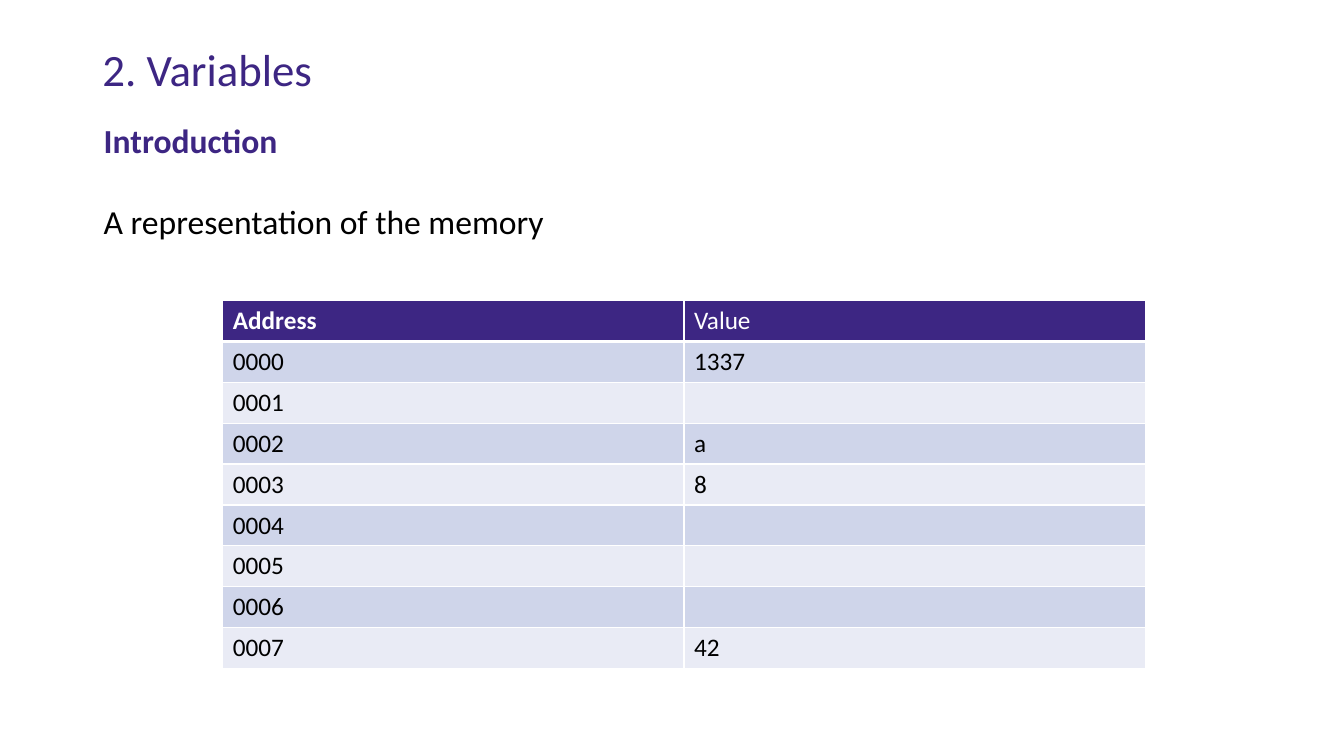
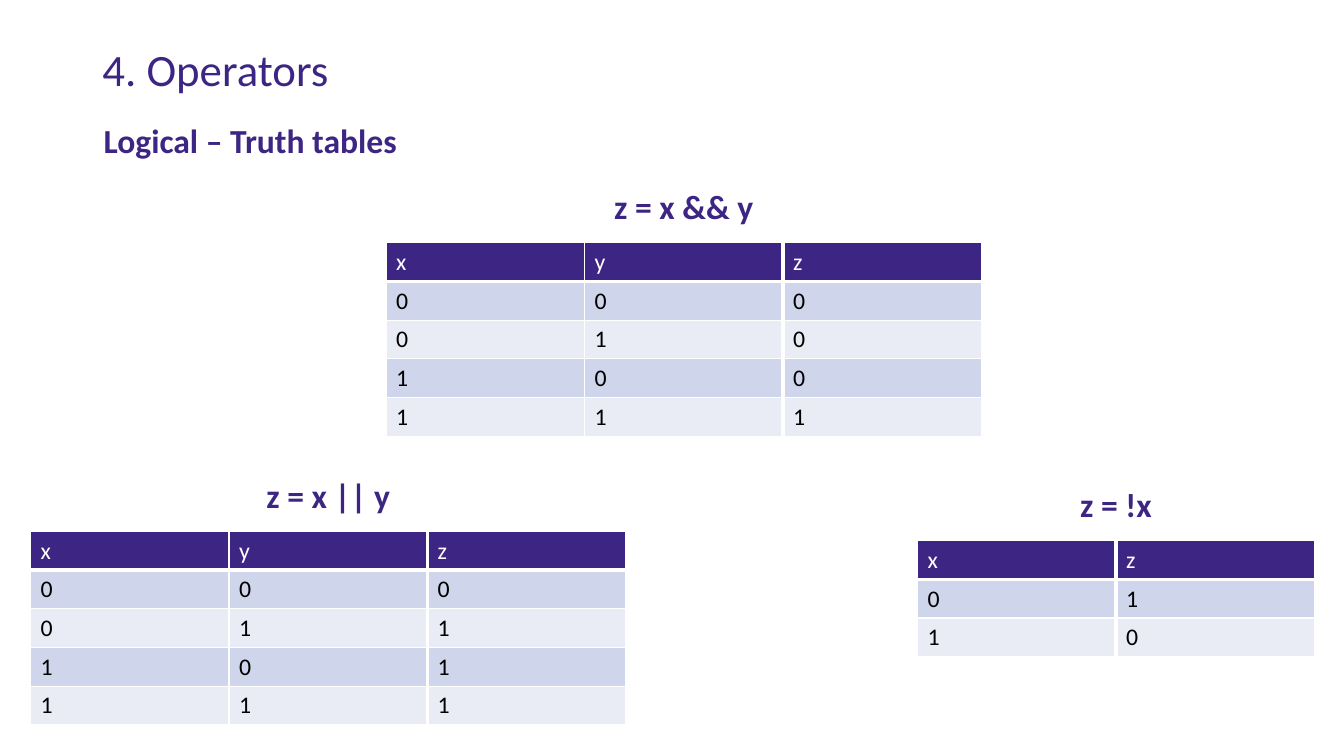
from pptx import Presentation
from pptx.dml.color import RGBColor
from pptx.enum.text import MSO_ANCHOR, PP_ALIGN
from pptx.oxml.ns import qn
from pptx.util import Pt
from lxml.etree import SubElement

FONT = "Calibri"
PURPLE, WHITE, BLACK = "3D2683", "FFFFFF", "000000"
BANDS = ["CFD5EA", "E9EBF5"]
THIN, THICK = 1, 3
LABEL_WIDTH, LABEL_HEIGHT, LABEL_GAP = 116, 36, 8
TRUTH_COLUMN, TRUTH_ROW = 141.8, 27.6


def rgb(color):
    return RGBColor.from_string(color)


def format_runs(paragraph, size, color, bold=False):
    for run in paragraph.runs:
        run.font.name = FONT
        run.font.size = Pt(size)
        run.font.bold = bold
        run.font.color.rgb = rgb(color)


def add_border(cell, side, width):
    line = SubElement(cell._tc.get_or_add_tcPr(), qn(f"a:ln{side}"), w=str(Pt(width)))
    fill = SubElement(line, qn("a:solidFill"))
    SubElement(fill, qn("a:srgbClr"), val=WHITE)


# Title, bold subtitle and optional lead sentence
def add_topic_slide(deck, title, subtitle, lead=None):
    slide = deck.slides.add_slide(deck.slide_layouts[5])
    heading = slide.shapes.title
    heading.left, heading.top, heading.width, heading.height = (
        Pt(66), Pt(28.8), Pt(828), Pt(45.4))
    heading.text_frame.text = title
    heading.text_frame.vertical_anchor = MSO_ANCHOR.MIDDLE
    heading_line = heading.text_frame.paragraphs[0]
    heading_line.alignment = PP_ALIGN.LEFT
    heading_line.line_spacing = 0.9
    format_runs(heading_line, 32, PURPLE)

    intro = slide.shapes.add_textbox(
        Pt(67), Pt(82), Pt(842), Pt(124 if lead else 65.5)).text_frame
    intro.word_wrap = True
    intro.text = subtitle
    format_runs(intro.paragraphs[0], 24, PURPLE, bold=True)
    if lead:
        lead_line = intro.add_paragraph()
        lead_line.text = lead
        lead_line.space_before = Pt(29.3)
        format_runs(lead_line, 24, BLACK)
    return slide


# Table with a purple header and alternating rows
def add_banded_table(slide, left, top, column_width, row_height, rows, size,
                     bold_headers=(), split_last=False):
    last = len(rows[0]) - 1
    table = slide.shapes.add_table(
        len(rows), last + 1, Pt(left), Pt(top),
        Pt(column_width * (last + 1)), Pt(row_height * len(rows))).table
    for row in table.rows:
        row.height = Pt(row_height)
    for column in table.columns:
        column.width = Pt(column_width)

    for r, values in enumerate(rows):
        for c, value in enumerate(values):
            cell = table.cell(r, c)
            cell.text_frame.text = value
            format_runs(cell.text_frame.paragraphs[0], size,
                        BLACK if r else WHITE, r == 0 and value in bold_headers)
            add_border(cell, "L", THICK if split_last and c == last else THIN)
            add_border(cell, "R", THICK if split_last and c == last - 1 else THIN)
            add_border(cell, "T", THICK if r == 1 else THIN)
            add_border(cell, "B", THICK if r == 0 else THIN)
            cell.fill.solid()
            cell.fill.fore_color.rgb = rgb(BANDS[(r - 1) % 2] if r else PURPLE)


# Truth table with its formula centred above it
def add_truth_table(slide, left, top, formula, rows):
    add_banded_table(slide, left, top, TRUTH_COLUMN, TRUTH_ROW, rows, 17,
                     split_last=True)
    middle = left + TRUTH_COLUMN * len(rows[0]) / 2
    label = slide.shapes.add_textbox(
        Pt(middle - LABEL_WIDTH / 2), Pt(top - LABEL_GAP - LABEL_HEIGHT),
        Pt(LABEL_WIDTH), Pt(LABEL_HEIGHT)).text_frame
    label.word_wrap = False
    label.text = formula
    label.paragraphs[0].alignment = PP_ALIGN.CENTER
    format_runs(label.paragraphs[0], 24, PURPLE, bold=True)


def build_memory_slide(deck):
    slide = add_topic_slide(deck, "2. Variables", "Introduction",
                            "A representation of the memory")
    memory = ["1337", "", "a", "8", "", "", "", "42"]
    rows = [["Address", "Value"]]
    rows += [[f"{address:04d}", value] for address, value in enumerate(memory)]
    add_banded_table(slide, 159.2, 214.7, 329.4, 29.2, rows, 18,
                     bold_headers=["Address"])


def build_operators_slide(deck):
    slide = add_topic_slide(deck, "4. Operators", "Logical – Truth tables")
    bits = (0, 1)
    pairs = [(x, y) for x in bits for y in bits]
    negation = [["x", "z"]] + [[str(x), str(1 - x)] for x in bits]
    conjunction = [["x", "y", "z"]] + [[str(x), str(y), str(x & y)] for x, y in pairs]
    disjunction = [["x", "y", "z"]] + [[str(x), str(y), str(x | y)] for x, y in pairs]
    add_truth_table(slide, 655.4, 386.2, "z = !x", negation)
    add_truth_table(slide, 275.7, 173.4, "z = x && y", conjunction)
    add_truth_table(slide, 21.8, 379.6, "z = x || y", disjunction)


def main():
    deck = Presentation()
    deck.slide_width, deck.slide_height = Pt(960), Pt(540)
    build_memory_slide(deck)
    build_operators_slide(deck)
    deck.save("out.pptx")


if __name__ == "__main__":
    main()
